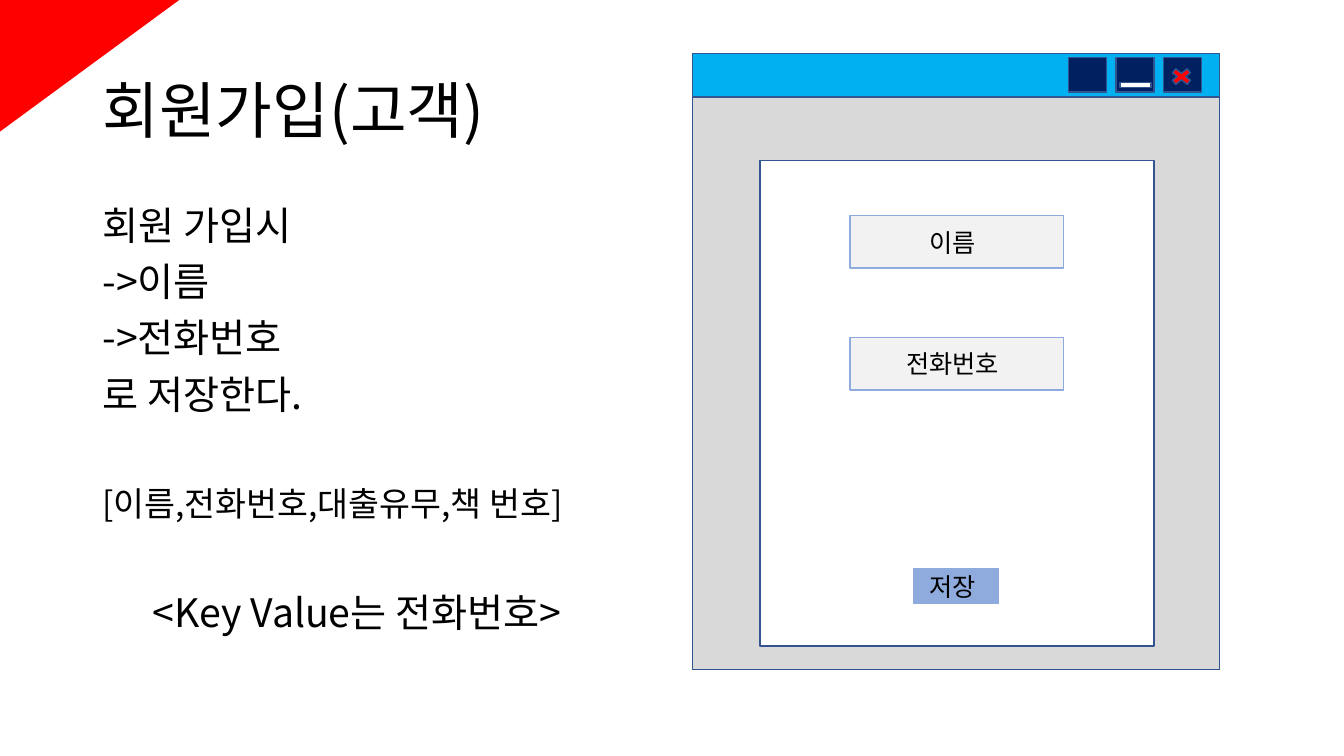
from dataclasses import dataclass

from lxml.etree import SubElement
from pptx import Presentation
from pptx.dml.color import RGBColor
from pptx.enum.shapes import MSO_SHAPE
from pptx.enum.text import MSO_ANCHOR, MSO_AUTO_SIZE, PP_ALIGN
from pptx.oxml.ns import qn
from pptx.shapes.autoshape import Shape
from pptx.slide import Slide
from pptx.text.text import TextFrame
from pptx.util import Pt


@dataclass(frozen=True)
class Theme:
    font: str = "Noto Sans CJK KR"
    text: str = "000000"
    red: str = "FF0000"
    white: str = "FFFFFF"
    window: str = "D9D9D9"
    title_bar: str = "00B0F0"
    window_button: str = "002060"
    outline: str = "325491"
    field: str = "F2F2F2"
    accent: str = "8FAADC"
    title_size: float = 44
    body_size: float = 28
    record_size: float = 24
    label_size: float = 18


@dataclass(frozen=True)
class Box:
    left: float
    top: float
    width: float
    height: float
    fill: str
    line: str | None = None
    kind: MSO_SHAPE = MSO_SHAPE.RECTANGLE
    label: str = ""
    rotation: float = 0


@dataclass(frozen=True)
class Line:
    text: str
    size: float
    space_before: float = 10
    align: PP_ALIGN = PP_ALIGN.LEFT


THEME = Theme()
SECTION_GAP = 50
WINDOW_LEFT, WINDOW_TOP, WINDOW_WIDTH = 494.6, 38.2, 376.6
BUTTON_LEFT, BUTTON_TOP, BUTTON_STEP = 763.2, 41.2, 33.84
FIELD_TOP, FIELD_STEP = 154.1, 87.1

BODY_LINES = [
    Line("회원 가입시", THEME.body_size),
    Line("->이름", THEME.body_size),
    Line("->전화번호", THEME.body_size),
    Line("로 저장한다.", THEME.body_size),
    Line("[이름,전화번호,대출유무,책 번호]", THEME.record_size, SECTION_GAP),
    Line("<Key Value는 전화번호>", THEME.body_size, SECTION_GAP, PP_ALIGN.CENTER),
]

BOXES = [
    Box(17, -17, 94, 128, THEME.red, kind=MSO_SHAPE.RIGHT_TRIANGLE, rotation=90),
    Box(WINDOW_LEFT, WINDOW_TOP, WINDOW_WIDTH, 440, THEME.window, THEME.outline),
    Box(WINDOW_LEFT, WINDOW_TOP, WINDOW_WIDTH, 31, THEME.title_bar, THEME.outline),
    *(
        Box(BUTTON_LEFT + index * BUTTON_STEP, BUTTON_TOP, 27.4, 24.5,
            THEME.window_button, THEME.outline)
        for index in range(3)
    ),
    Box(799.9, 59, 22.3, 3.6, THEME.white, THEME.outline),
    Box(833.8, 46.8, 20.2, 15.8, THEME.red, THEME.outline, MSO_SHAPE.MATH_MULTIPLY),
    Box(542.9, 114.5, 281.5, 347, THEME.white, THEME.outline),
    *(
        Box(607, FIELD_TOP + index * FIELD_STEP, 152.6, 37.4,
            THEME.field, THEME.accent, label=label)
        for index, label in enumerate(["이름", "전화번호"])
    ),
    Box(653, 406.1, 60.5, 25.2, THEME.accent, THEME.accent, label="저장"),
]


def color(value: str) -> RGBColor:
    return RGBColor.from_string(value)


def write_lines(frame: TextFrame, lines: list[Line], spacing: float) -> None:
    for index, line in enumerate(lines):
        paragraph = frame.paragraphs[0] if index == 0 else frame.add_paragraph()
        paragraph.text = line.text
        paragraph.alignment = line.align
        paragraph.line_spacing = spacing
        paragraph.space_before = Pt(line.space_before)
        font = paragraph.font
        font.name = THEME.font
        font.size = Pt(line.size)
        font.color.rgb = color(THEME.text)
        properties = paragraph._p.get_or_add_pPr()
        SubElement(properties.find(qn("a:defRPr")), qn("a:ea"), typeface=THEME.font)
        properties.set("marL", "0")
        properties.set("indent", "0")
        properties.find(qn("a:defRPr")).addprevious(
            properties.makeelement(qn("a:buNone"), {})
        )


def place_text(box: Shape, left: float, top: float, width: float, height: float,
               anchor: MSO_ANCHOR, lines: list[Line]) -> None:
    box.left, box.top, box.width, box.height = Pt(left), Pt(top), Pt(width), Pt(height)
    frame = box.text_frame
    frame.word_wrap = True
    frame.auto_size = MSO_AUTO_SIZE.NONE
    frame.vertical_anchor = anchor
    write_lines(frame, lines, 0.9)


def draw_box(slide: Slide, box: Box) -> None:
    shape = slide.shapes.add_shape(
        box.kind, Pt(box.left), Pt(box.top), Pt(box.width), Pt(box.height)
    )
    shape.shadow.inherit = False
    shape.rotation = box.rotation
    shape.fill.solid()
    shape.fill.fore_color.rgb = color(box.fill)
    if box.line:
        shape.line.color.rgb = color(box.line)
        shape.line.width = Pt(1)
    else:
        shape.line.fill.background()
    if box.label:
        frame = shape.text_frame
        frame.margin_left, frame.margin_right = Pt(0), Pt(6)
        frame.margin_top = frame.margin_bottom = Pt(0)
        frame.vertical_anchor = MSO_ANCHOR.MIDDLE
        write_lines(frame, [Line(box.label, THEME.label_size, 0, PP_ALIGN.CENTER)], 1.0)


deck = Presentation()
deck.slide_width, deck.slide_height = Pt(960), Pt(540)
page = deck.slides.add_slide(deck.slide_layouts[1])
title, body = page.placeholders
place_text(title, 66, 28.75, 828, 104.4, MSO_ANCHOR.MIDDLE,
           [Line("회원가입(고객)", THEME.title_size, 0)])
place_text(body, 66, 143.75, 378, 342.6, MSO_ANCHOR.TOP, BODY_LINES)
for item in BOXES:
    draw_box(page, item)
deck.save("out.pptx")
